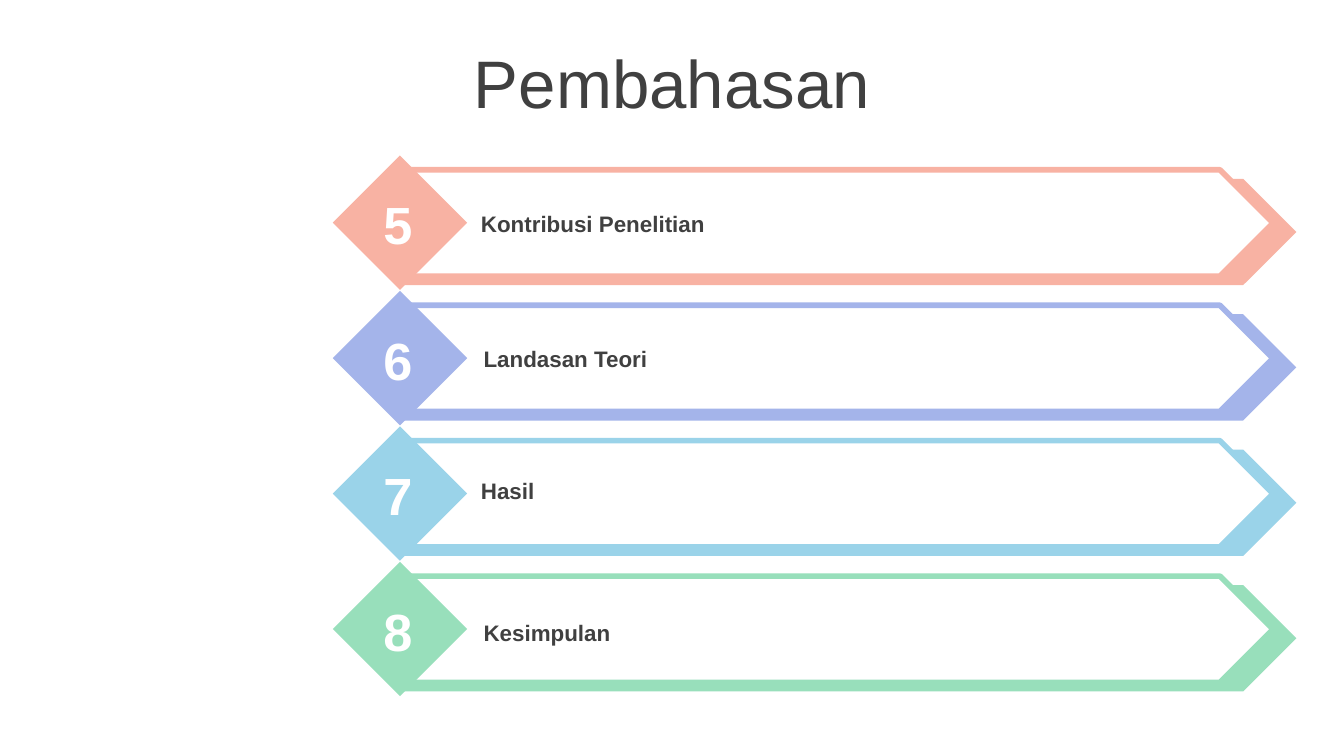
"""Build the numbered agenda slide "Pembahasan"."""
from dataclasses import dataclass

from pptx import Presentation
from pptx.dml.color import RGBColor
from pptx.enum.shapes import MSO_SHAPE
from pptx.enum.text import MSO_ANCHOR, PP_ALIGN
from pptx.util import Cm, Pt

ARROW, DIAMOND = MSO_SHAPE.PENTAGON, MSO_SHAPE.DIAMOND
TOP, MIDDLE = MSO_ANCHOR.TOP, MSO_ANCHOR.MIDDLE
LEFT, CENTER = PP_ALIGN.LEFT, PP_ALIGN.CENTER
TITLE_ONLY = 5
SLIDE_WIDTH, SLIDE_HEIGHT = 25.4, 14.29
ROW_PITCH = 2.56
FIRST_NUMBER = 5
TOPICS = [
    ("Kontribusi Penelitian", "F8B2A3", 8.84, 3.84),
    ("Landasan Teori", "A4B4EA", 8.89, 6.4),
    ("Hasil", "9AD3E9", 8.84, 8.89),
    ("Kesimpulan", "98DFBB", 8.89, 11.58),
]


@dataclass(frozen=True)
class Theme:
    """Colours and type of the slide."""

    font: str = "Arial"
    ink: str = "404040"
    paper: str = "FFFFFF"
    title_size: int = 36
    number_size: int = 28
    label_size: int = 12
    outline: int = 3


class Agenda:
    """Draws agenda elements on the current slide in one style."""

    def __init__(self, slide, theme):
        """Keep the slide and its style."""
        self.slide = slide
        self.theme = theme

    def typeset(self, frame, text, size, color, bold=False, align=LEFT, anchor=TOP):
        """Fill a text frame with one formatted line."""
        frame.word_wrap = True
        frame.vertical_anchor = anchor
        line = frame.paragraphs[0]
        line.alignment = align
        run = line.add_run()
        run.text = text
        formats = {"name": self.theme.font, "size": Pt(size), "bold": bold}
        for attribute, value in formats.items():
            setattr(run.font, attribute, value)
        run.font.color.rgb = RGBColor.from_string(color)

    def title(self, text, left, top, width, height):
        """Place and fill the title placeholder."""
        heading = self.slide.shapes.title
        bounds = {"left": left, "top": top, "width": width, "height": height}
        for attribute, value in bounds.items():
            setattr(heading, attribute, Cm(value))
        self.typeset(heading.text_frame, text, self.theme.title_size,
                     self.theme.ink, align=CENTER, anchor=MIDDLE)

    def panel(self, kind, left, top, width, height, fill, outline=None):
        """Add a filled preset shape, outlined if a colour is given."""
        panel = self.slide.shapes.add_shape(
            kind, Cm(left), Cm(top), Cm(width), Cm(height))
        panel.shadow.inherit = False
        panel.fill.solid()
        panel.fill.fore_color.rgb = RGBColor.from_string(fill)
        if outline:
            panel.line.color.rgb = RGBColor.from_string(outline)
            panel.line.width = Pt(self.theme.outline)
        else:
            panel.line.fill.background()

    def text(self, text, left, top, width, height, size, color, **layout):
        """Add a bold line of text in its own box."""
        box = self.slide.shapes.add_textbox(
            Cm(left), Cm(top), Cm(width), Cm(height))
        self.typeset(box.text_frame, text, size, color, bold=True, **layout)

    def topic(self, row, label, accent, label_left, label_top):
        """Add one numbered arrow with its label."""
        theme = self.theme
        offset = row * ROW_PITCH
        self.panel(ARROW, 7.63, 3.38 + offset, 16.87, 2.01, accent)
        self.panel(ARROW, 7.63, 3.21 + offset, 16.43, 2.01, theme.paper, accent)
        self.panel(DIAMOND, 6.29, 2.94 + offset, 2.54, 2.54, accent)
        self.text(str(FIRST_NUMBER + row), 6.96, 3.51 + offset, 1.12, 1.45,
                  theme.number_size, theme.paper, align=CENTER, anchor=MIDDLE)
        self.text(label, label_left, label_top, 13.21, 0.76,
                  theme.label_size, theme.ink)


def main():
    """Build and save the slide."""
    deck = Presentation()
    deck.slide_width, deck.slide_height = Cm(SLIDE_WIDTH), Cm(SLIDE_HEIGHT)
    slide = deck.slides.add_slide(deck.slide_layouts[TITLE_ONLY])
    agenda = Agenda(slide, Theme())
    agenda.title("Pembahasan", 0, 0.74, SLIDE_WIDTH, 1.6)
    for row, topic in enumerate(TOPICS):
        agenda.topic(row, *topic)
    deck.save("out.pptx")


if __name__ == "__main__":
    main()
